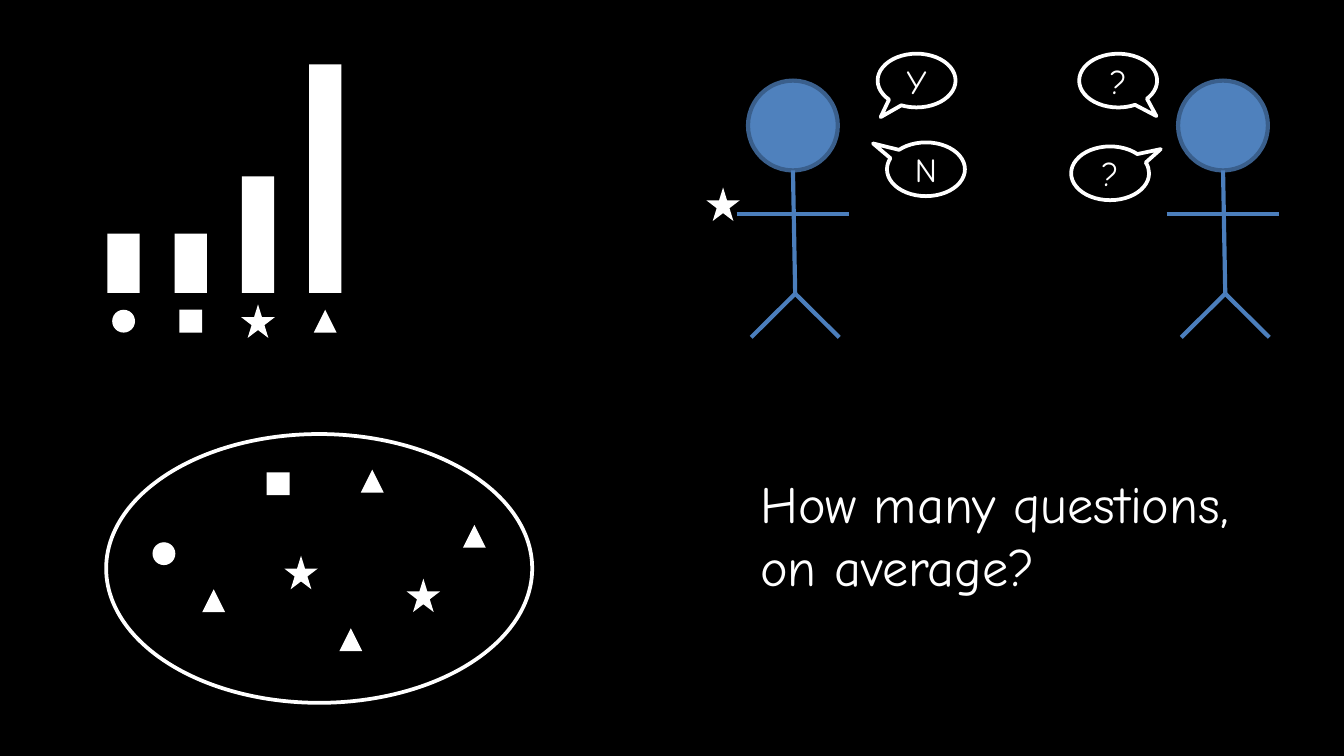
from dataclasses import dataclass

from lxml import etree
from pptx import Presentation
from pptx.dml.color import RGBColor
from pptx.enum.shapes import MSO_CONNECTOR, MSO_SHAPE
from pptx.enum.text import MSO_ANCHOR, PP_ALIGN
from pptx.oxml.ns import qn
from pptx.util import Inches, Pt

LINE = MSO_CONNECTOR.STRAIGHT
CIRCLE, SQUARE = MSO_SHAPE.OVAL, MSO_SHAPE.RECTANGLE
STAR, TRIANGLE = MSO_SHAPE.STAR_5_POINT, MSO_SHAPE.ISOSCELES_TRIANGLE
BUBBLE = MSO_SHAPE.OVAL_CALLOUT
LEFT, CENTER = PP_ALIGN.LEFT, PP_ALIGN.CENTER
TOP, MIDDLE = MSO_ANCHOR.TOP, MSO_ANCHOR.MIDDLE

W = 10
H = W * 9 / 16


@dataclass(frozen=True)
class Theme:
    background: str = "000000"
    ink: str = "FFFFFF"
    head: str = "4F81BD"
    head_edge: str = "3A5F8C"
    limb: str = "4B7EBC"
    font: str = "Comic Neue"
    question_size: float = 28
    bubble_size: float = 18
    outline: float = 2
    figure_line: float = 2.25
    symbol: float = 0.17
    star: float = 0.25


THEME = Theme()


def color(value):
    return RGBColor.from_string(value)


def add_shape(shapes, kind, box, fill=None, line=None, width=THEME.outline):
    s = shapes.add_shape(kind, *(Inches(v) for v in box))
    s.shadow.inherit = False
    if fill:
        s.fill.solid()
        s.fill.fore_color.rgb = color(fill)
    else:
        s.fill.background()
    if line:
        s.line.color.rgb = color(line)
        s.line.width = Pt(width)
    else:
        s.line.fill.background()
    return s


def add_line(shapes, start, end):
    c = shapes.add_connector(LINE, *(Inches(v) for v in (*start, *end)))
    c.line.color.rgb = color(THEME.limb)
    c.line.width = Pt(THEME.figure_line)
    etree.SubElement(c._element.spPr, qn("a:effectLst"))


def write(s, text, size, align=LEFT, anchor=TOP, margin=0.1, wrap=True):
    tf = s.text_frame
    tf.word_wrap = wrap
    tf.vertical_anchor = anchor
    tf.margin_left = tf.margin_right = Inches(margin)
    tf.margin_top = tf.margin_bottom = Inches(margin / 2)
    p = tf.paragraphs[0]
    p.alignment = align
    r = p.add_run()
    r.text = text
    r.font.name = THEME.font
    r.font.size = Pt(size)
    r.font.color.rgb = color(THEME.ink)


def add_symbol(shapes, kind, cx, cy):
    size = THEME.star if kind == STAR else THEME.symbol
    add_shape(shapes, kind, (cx - size / 2, cy - size / 2, size, size), THEME.ink)


def bar_diagram(slide, box, bars):
    """Bars rising from a common base, each with its symbol below."""
    x, y, w, h = box
    shapes = slide.shapes.add_group_shape().shapes
    bar_w = 0.24
    pitch = (w - bar_w) / (len(bars) - 1)
    base = y + h
    for i, (kind, share) in enumerate(bars):
        left = x + i * pitch
        add_shape(shapes, SQUARE, (left, base - h * share, bar_w, h * share), THEME.ink)
        add_symbol(shapes, kind, left + bar_w / 2, base + 0.21)


def stick_figure(slide, box):
    """Head, body, legs and arms, as shares of the box."""
    x, y, w, h = box
    shapes = slide.shapes.add_group_shape().shapes

    def at(u, v):
        return x + u * w, y + v * h

    head = 0.35 * h
    add_shape(shapes, CIRCLE, (x + (w - head) / 2, y, head, head),
              THEME.head, THEME.head_edge, THEME.figure_line)
    hip = at(0.52, 0.83)
    for start, end in ((at(0.5, 0.35), hip), (hip, at(0.13, 1)),
                       (hip, at(0.91, 1)), (at(0, 0.52), at(1, 0.52))):
        add_line(shapes, start, end)


def dialogue(slide, bubbles):
    """Speech bubbles, with each tail's tip relative to the bubble's centre."""
    for text, left, top, tail in bubbles:
        s = add_shape(slide.shapes, BUBBLE, (left, top, 0.58, 0.4), line=THEME.ink)
        s.adjustments[0], s.adjustments[1] = tail
        write(s, text, THEME.bubble_size, align=CENTER, anchor=MIDDLE,
              margin=0, wrap=False)


def urn(slide, box, symbols):
    """Oval holding symbols, centred at offsets from the box's corner."""
    x, y, _, _ = box
    add_shape(slide.shapes, CIRCLE, box, line=THEME.ink)
    for kind, dx, dy in symbols:
        add_symbol(slide.shapes, kind, x + dx, y + dy)


def question(slide, box, text):
    tb = slide.shapes.add_textbox(*(Inches(v) for v in box))
    write(tb, text, THEME.question_size)


def main():
    prs = Presentation()
    prs.slide_width, prs.slide_height = Inches(W), Inches(H)
    slide = prs.slides.add_slide(prs.slide_layouts[6])
    slide.background.fill.solid()
    slide.background.fill.fore_color.rgb = color(THEME.background)

    # Top left: how often each symbol occurs
    bar_diagram(slide, (0.8, 0.48, 1.74, 1.7),
                [(CIRCLE, 0.26), (SQUARE, 0.26), (STAR, 0.51), (TRIANGLE, 1)])

    # Top right: one figure holds a star, the other asks about it
    for left in (5.48, 8.68):
        stick_figure(slide, (left, 0.6, 0.84, 1.91))
    add_symbol(slide.shapes, STAR, 5.38, 1.52)
    dialogue(slide, [("?", 8.03, 0.4, (0.49, 0.66)),
                     ("Y", 6.53, 0.4, (-0.46, 0.68)),
                     ("?", 7.97, 1.09, (0.65, -0.45)),
                     ("N", 6.6, 1.06, (-0.68, -0.48))])

    # Bottom left: the symbols to draw from
    urn(slide, (0.79, 3.23, 3.17, 2),
        [(STAR, 1.45, 1.03), (TRIANGLE, 1.98, 0.35), (CIRCLE, 0.43, 0.89),
         (SQUARE, 1.28, 0.37), (STAR, 2.36, 1.2), (TRIANGLE, 2.74, 0.76),
         (TRIANGLE, 1.82, 1.53), (TRIANGLE, 0.8, 1.24)])

    # Bottom right: the question
    question(slide, (5.56, 3.46, 3.84, 1.04), "How many questions, on average?")

    prs.save("out.pptx")


if __name__ == "__main__":
    main()
